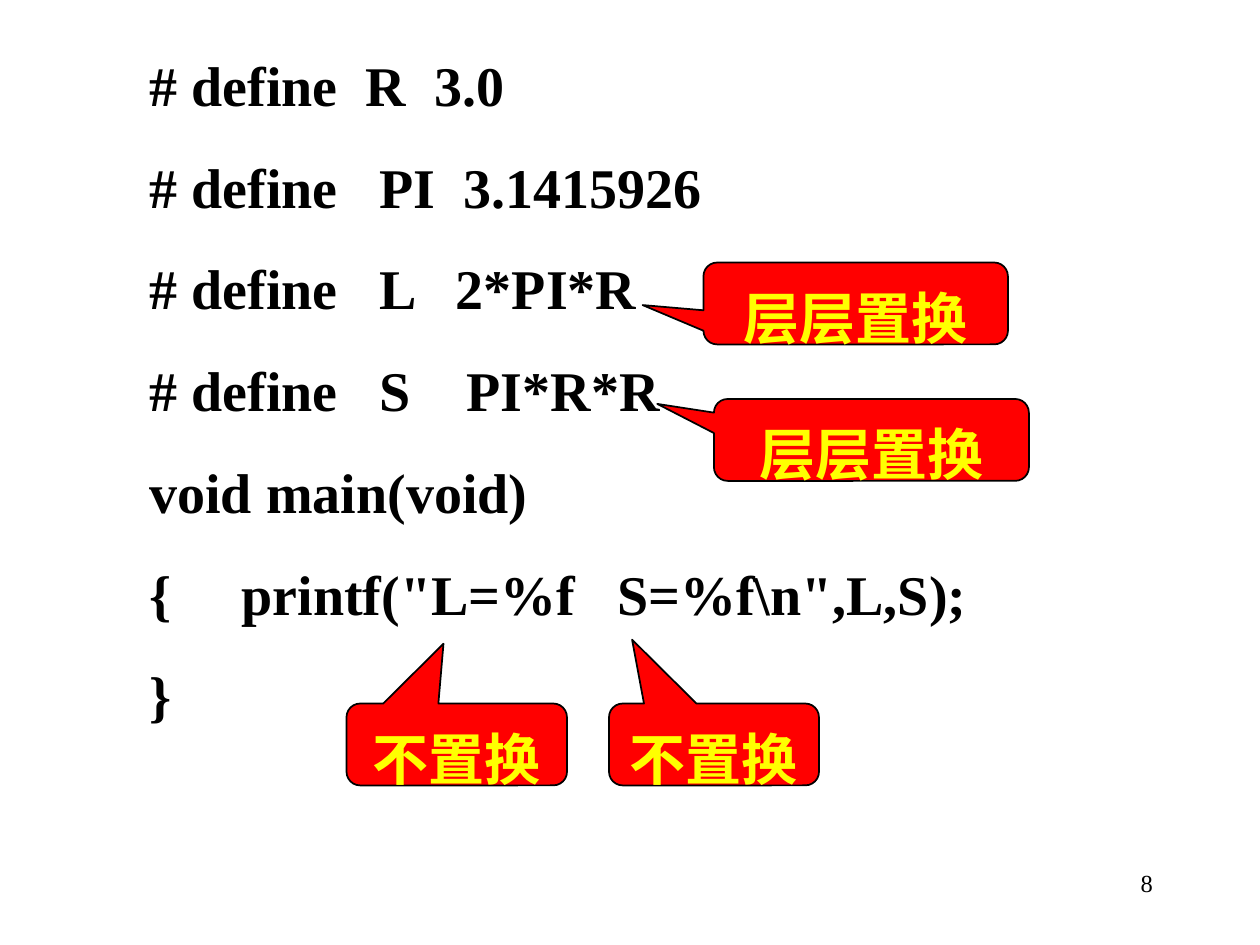
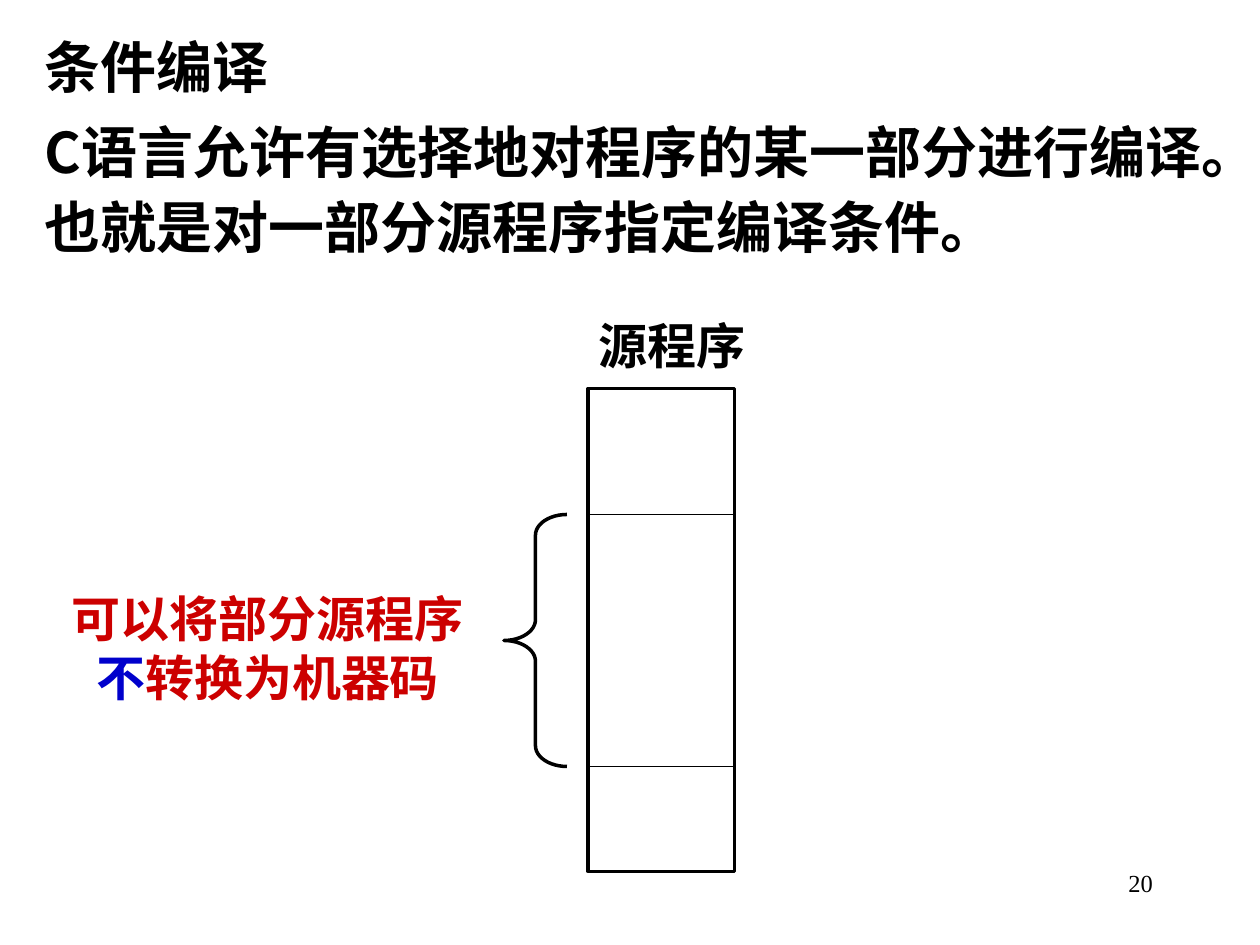
from lxml import etree
from pptx import Presentation
from pptx import util as u
from pptx.dml import color
from pptx.enum import shapes, text
from pptx.oxml import ns

BLACK = color.RGBColor(0x00, 0x00, 0x00)
RED = color.RGBColor(0xFF, 0x00, 0x00)
YELLOW = color.RGBColor(0xFF, 0xFF, 0x00)
DARK_RED = color.RGBColor(0xCC, 0x00, 0x00)
BLUE = color.RGBColor(0x00, 0x00, 0xCC)
SERIF = "Times New Roman"
SANS = "Noto Sans CJK SC"
LEFT, CENTER, RIGHT = text.PP_ALIGN.LEFT, text.PP_ALIGN.CENTER, text.PP_ALIGN.RIGHT


def place(box, left, top, width, height):
    box.left, box.top = u.Pt(left), u.Pt(top)
    box.width, box.height = u.Pt(width), u.Pt(height)


def write(box, lines, size, pitch, font=SERIF, align=LEFT, insets=(7.2, 6.1), gap=0):
    frame = box.text_frame
    frame.word_wrap = True
    frame.auto_size = text.MSO_AUTO_SIZE.NONE
    frame.vertical_anchor = text.MSO_ANCHOR.TOP
    frame.margin_left = frame.margin_right = u.Pt(insets[0])
    frame.margin_top, frame.margin_bottom = u.Pt(insets[1]), u.Pt(0)
    for index, line in enumerate(lines):
        para = frame.add_paragraph() if index else frame.paragraphs[0]
        props = para._p.get_or_add_pPr()
        props.set("marL", "0")
        props.set("indent", "0")
        etree.SubElement(props, ns.qn("a:buNone"))
        para.alignment = align
        para.line_spacing = u.Pt(pitch)
        para.space_before = u.Pt(gap if index else 0)
        for words, ink in line:
            span = para.add_run()
            span.text = words
            span.font.name = font
            span.font.size = u.Pt(size)
            span.font.bold = size > 14
            span.font.color.rgb = ink
            east_asian = etree.SubElement(span._r.get_or_add_rPr(), ns.qn("a:ea"))
            east_asian.set("typeface", SANS)


deck = Presentation()
deck.slide_width, deck.slide_height = u.Pt(720), u.Pt(540)
pages = []
for number in ("8", "20"):
    page = deck.slides.add_slide(deck.slide_layouts[1])
    box = page.shapes.add_textbox(u.Pt(516), u.Pt(492), u.Pt(150), u.Pt(36))
    write(box, [[(number, BLACK)]], 14, 17, align=RIGHT, insets=(7.2, 3.6))
    pages.append(page)
macro_page, compile_page = pages

heading = macro_page.shapes.title
heading._element.getparent().remove(heading._element)
code = [
    "# define  R  3.0",
    "# define   PI  3.1415926",
    "# define   L   2*PI*R",
    "# define   S    PI*R*R",
    "void main(void)",
    '{     printf("L=%f   S=%f\\n",L,S);',
    "}",
]
listing = macro_page.placeholders[1]
place(listing, 84, 24, 576, 413)
write(listing, [[(line, BLACK)] for line in code], 32, 42.6, insets=(1.4, 0.7), gap=15.5)

callouts = [
    ("不置换", 198, 402, 126, -0.06, -1.23),
    ("不置换", 348, 402, 120, -0.39, -1.28),
    ("层层置换", 402, 150, 174, -0.7, 0.02),
    ("层层置换", 408, 228, 180, -0.68, -0.44),
]
for words, left, top, width, tip_x, tip_y in callouts:
    callout = macro_page.shapes.add_shape(
        shapes.MSO_SHAPE.ROUNDED_RECTANGULAR_CALLOUT,
        u.Pt(left), u.Pt(top), u.Pt(width), u.Pt(46.8))
    callout.adjustments[0], callout.adjustments[1] = tip_x, tip_y
    callout.shadow.inherit = False
    callout.fill.solid()
    callout.fill.fore_color.rgb = RED
    callout.line.color.rgb = BLACK
    callout.line.width = u.Pt(1)
    write(callout, [[(words, YELLOW)]], 32, 42.6, align=CENTER, insets=(0, 5.4))

heading = compile_page.shapes.title
place(heading, 18, 12, 160, 45)
write(heading, [[("条件编译", BLACK)]], 32, 38.7, font=SANS)

body = compile_page.placeholders[1]
place(body, 24, 60, 666, 86)
sentence = "C语言允许有选择地对程序的某一部分进行编译。也就是对一部分源程序指定编译条件。"
write(body, [[(sentence, BLACK)]], 32, 42.6, font=SANS, insets=(1.4, 3.2))

outlines = [
    (shapes.MSO_SHAPE.RECTANGLE, 336, 222, 84, 276, 1.75),
    (shapes.MSO_SHAPE.LEFT_BRACE, 288, 294, 36, 144, 2),
]
for kind, left, top, width, height, weight in outlines:
    outline = compile_page.shapes.add_shape(
        kind, u.Pt(left), u.Pt(top), u.Pt(width), u.Pt(height))
    outline.shadow.inherit = False
    outline.fill.background()
    outline.line.color.rgb = BLACK
    outline.line.width = u.Pt(weight)
    if kind == shapes.MSO_SHAPE.LEFT_BRACE:
        outline.adjustments[0] = 0.33

for height in (294, 438):
    divider = compile_page.shapes.add_connector(
        shapes.MSO_CONNECTOR.STRAIGHT, u.Pt(336), u.Pt(height), u.Pt(420), u.Pt(height))
    divider.line.color.rgb = BLACK
    divider.line.width = u.Pt(1)
    etree.SubElement(divider._element.spPr, ns.qn("a:effectLst"))

labels = [
    (324, 174, 120, 41, [("源程序", BLACK)]),
    (30, 330, 246, 74, [("可以将部分源程序", DARK_RED), ("不", BLUE), ("转换为机器码", DARK_RED)]),
]
for left, top, width, height, spans in labels:
    label = compile_page.shapes.add_textbox(u.Pt(left), u.Pt(top), u.Pt(width), u.Pt(height))
    write(label, [spans], 28, 33.7, align=CENTER)

deck.save("out.pptx")
